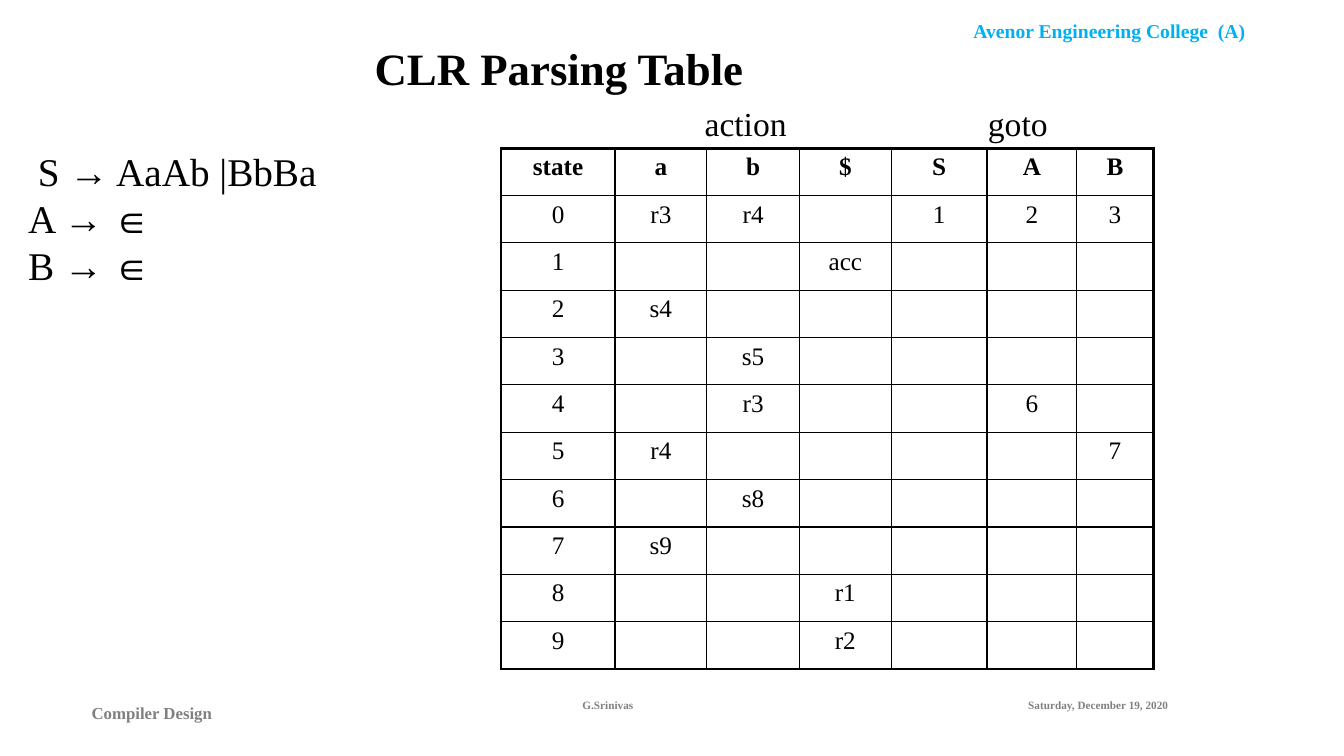
from dataclasses import dataclass
from lxml import etree
from pptx import Presentation
from pptx import util as u
from pptx.dml.color import RGBColor
from pptx.enum import text
from pptx.oxml.ns import qn

PX = 9144  # EMU per px, 100 px to the inch
ALIGN = text.PP_ALIGN
MIDDLE = text.MSO_ANCHOR.MIDDLE
TOP = text.MSO_ANCHOR.TOP


@dataclass(frozen=True)
class Theme:
    font: str = "Times New Roman"
    ink: str = "000000"
    muted: str = "808080"
    accent: str = "00B0F0"
    title: int = 32
    grammar: int = 28
    group: int = 24
    cell: int = 18
    college: int = 14
    course: int = 12
    footer: int = 8
    thick: float = 2.25
    thin: float = 1


class ParsingSlide:
    def __init__(self, deck, theme):
        self.theme = theme
        self.slide = deck.slides.add_slide(deck.slide_layouts[5])

    def set_text(self, frame, lines, size, color=None, bold=False, align=ALIGN.LEFT):
        frame.text = "\n".join(lines)
        look = {"name": self.theme.font, "size": u.Pt(size), "bold": bold}
        for line in frame.paragraphs:
            line.alignment = align
            for font in [line.font] + [run.font for run in line.runs]:
                for key, value in look.items():
                    setattr(font, key, value)
                font.color.rgb = RGBColor.from_string(color or self.theme.ink)

    def place(self, shape, box):
        for side, length in zip(("left", "top", "width", "height"), box):
            setattr(shape, side, length * PX)

    def title(self, box, words):
        heading = self.slide.shapes.title
        self.place(heading, box)
        self.set_text(heading.text_frame, [words], self.theme.title,
                      bold=True, align=ALIGN.CENTER)
        heading.text_frame.vertical_anchor = MIDDLE
        heading.text_frame.auto_size = text.MSO_AUTO_SIZE.NONE

    def label(self, box, lines, size, wrap=True, anchor=TOP, **style):
        frame = self.slide.shapes.add_textbox(*(n * PX for n in box)).text_frame
        self.set_text(frame, lines, size, **style)
        frame.word_wrap = wrap
        frame.vertical_anchor = anchor

    def border(self, cell, widths):
        for side, width in widths.items():
            line = etree.SubElement(cell._tc.get_or_add_tcPr(), qn(f"a:ln{side}"),
                                    w=str(u.Pt(width)))
            fill = etree.SubElement(line, qn("a:solidFill"))
            etree.SubElement(fill, qn("a:srgbClr"), val=self.theme.ink)

    def table(self, left, top, columns, row_height, rows):
        thick, thin = self.theme.thick, self.theme.thin
        grid = self.slide.shapes.add_table(
            len(rows), len(columns), left * PX, top * PX,
            sum(columns) * PX, len(rows) * row_height * PX).table
        grid.first_row = grid.horz_banding = False
        for column, width in zip(grid.columns, columns):
            column.width = width * PX
        for r, entries in enumerate(rows):
            grid.rows[r].height = row_height * PX
            for c, entry in enumerate(entries):
                cell = grid.cell(r, c)
                self.set_text(cell.text_frame, [entry], self.theme.cell,
                              bold=r == 0, align=ALIGN.CENTER)
                # Space before each entry: 20% of a line
                props = cell.text_frame.paragraphs[0]._p.get_or_add_pPr()
                before = etree.Element(qn("a:spcBef"))
                etree.SubElement(before, qn("a:spcPct"), val="20000")
                props.insert(0, before)
                self.border(cell, {
                    "L": thick if c == 0 else thin,
                    "R": thick if c == len(columns) - 1 else thin,
                    "T": thick if r == 0 else thin,
                    "B": thin})
                cell.fill.background()


def main():
    deck = Presentation()
    deck.slide_width, deck.slide_height = 1333 * PX, 750 * PX
    theme = Theme()
    page = ParsingSlide(deck, theme)

    # Header and footer
    page.label((909, 14, 383, 34), ["Avenor Engineering College  (A)"], theme.college,
               color=theme.accent, bold=True, align=ALIGN.CENTER)
    page.label((81, 687, 211, 40), ["Compiler Design"], theme.course, anchor=MIDDLE,
               color=theme.muted, bold=True, align=ALIGN.JUSTIFY)
    page.label((1010, 688, 230, 40), ["Saturday, December 19, 2020"], theme.footer,
               color=theme.muted, bold=True)
    page.label((453, 688, 300, 40), ["G.Srinivas"], theme.footer,
               color=theme.muted, bold=True, align=ALIGN.CENTER)

    page.title((42, 17, 1025, 100), "CLR Parsing Table")

    # Parsing table: actions and gotos by state
    symbols = ["a", "b", "$", "S", "A", "B"]
    moves = [
        {"a": "r3", "b": "r4", "S": "1", "A": "2", "B": "3"},
        {"$": "acc"},
        {"a": "s4"},
        {"b": "s5"},
        {"b": "r3", "A": "6"},
        {"a": "r4", "B": "7"},
        {"b": "s8"},
        {"a": "s9"},
        {"$": "r1"},
        {"$": "r2"},
    ]
    states = [[str(state)] + [move.get(symbol, "") for symbol in symbols]
              for state, move in enumerate(moves)]
    page.table(497, 147, [113, 91, 92, 91, 95, 89, 76], 47,
               [["state"] + symbols] + states)

    # Column group names
    page.label((689, 97, 102, 50), ["action"], theme.group, wrap=False)
    page.label((970, 97, 80, 50), ["goto"], theme.group, wrap=False)

    # Grammar
    page.label((18, 141, 313, 151), [" S → AaAb |BbBa", "A → ∈", "B → ∈"],
               theme.grammar)

    deck.save("out.pptx")


if __name__ == "__main__":
    main()
